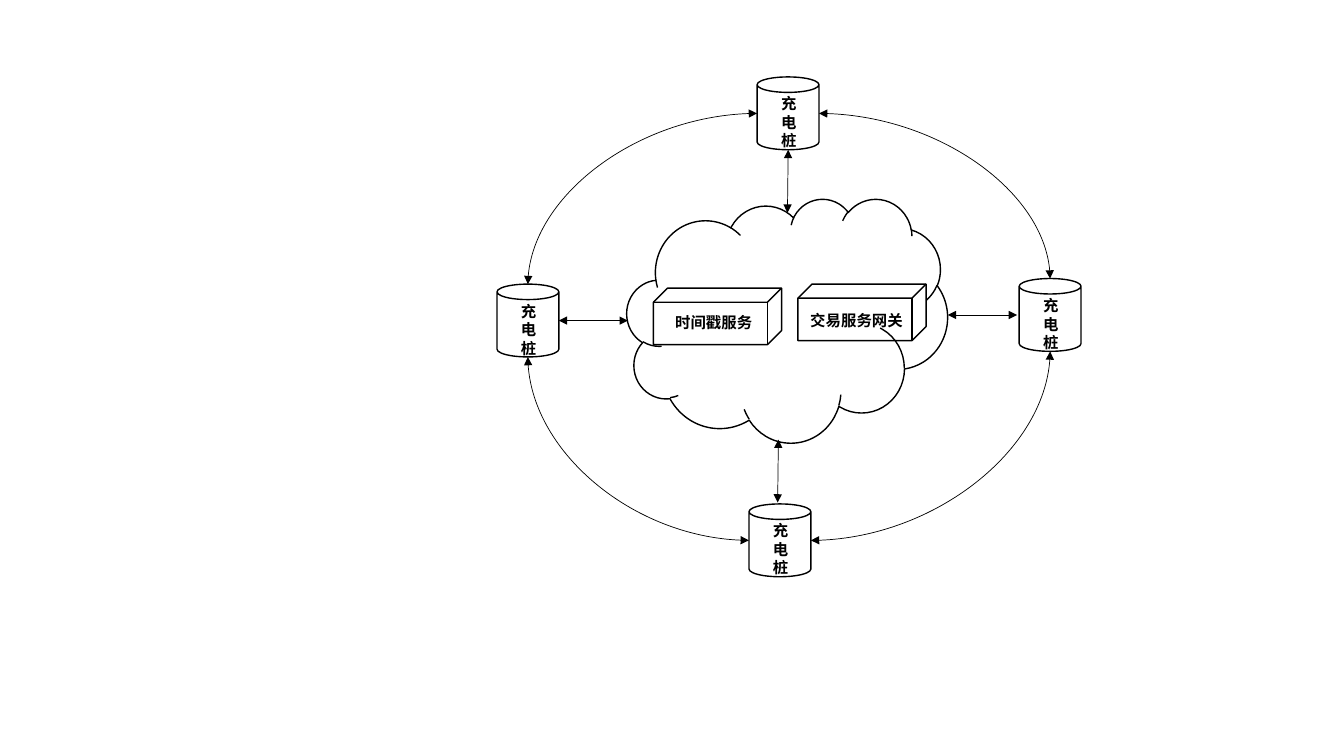
import pptx
import pptx.util
import pptx.dml.color
import pptx.enum.shapes
import pptx.oxml
import pptx.oxml.ns

Pt = pptx.util.Pt
qn = pptx.oxml.ns.qn
SHAPE = pptx.enum.shapes.MSO_SHAPE
LINK = pptx.enum.shapes.MSO_CONNECTOR

THEME = {
    "ink": pptx.dml.color.RGBColor(0, 0, 0),
    "font": "Calibri",
    "label_size": 11,
    "outline": 1,
    "arrow": 0.5,
}

# Content: positions and sizes in points
PILE_LABEL = ["充", "电", "桩"]
PILE_SIZE = (44.2, 52)
PILES = {
    "left": (355, 203),
    "top": (540.8, 55),
    "right": (728, 199),
    "bottom": (535, 360),
}
CLOUD = (447.8, 141.8, 229, 174.2)
SERVICE_SIZE = (91.6, 40.4)
SERVICES = [  # label, cube corner, label box
    ("时间戳服务", (466.7, 205.8), (475.2, 220.2, 69.8, 20.6)),
    ("交易服务网关", (569.9, 202.9), (571.7, 218.7, 81.4, 20.6)),
]
CLOUD_ARROWS = [
    ((563, 107), (562.5, 152)),
    ((556, 314), (555.5, 359)),
    ((399.2, 229), (448.5, 229)),
    ((677, 225), (726.5, 225)),
]
RING = [  # pile, side it leaves by, pile, side it enters by
    ("bottom", "right", "right", "bottom"),
    ("top", "right", "right", "top"),
    ("top", "left", "left", "top"),
    ("bottom", "left", "left", "bottom"),
]
# Side of a can: share of width, share of height, connection site
SIDES = {"top": (0.5, 0, 1), "left": (0, 0.5, 2),
         "bottom": (0.5, 1, 3), "right": (1, 0.5, 4)}

deck = pptx.Presentation()
deck.slide_width, deck.slide_height = Pt(960), Pt(540)
slide = deck.slides.add_slide(deck.slide_layouts[6])


def add_outline(kind, left, top, width, height):
    outline = slide.shapes.add_shape(kind, Pt(left), Pt(top), Pt(width), Pt(height))
    outline.shadow.inherit = False
    outline.fill.background()
    outline.line.color.rgb = THEME["ink"]
    outline.line.width = Pt(THEME["outline"])
    return outline


def add_label(lines, left, top, width, height):
    frame = slide.shapes.add_textbox(Pt(left), Pt(top), Pt(width), Pt(height)).text_frame
    frame.word_wrap = False
    frame.auto_size = pptx.enum.text.MSO_AUTO_SIZE.SHAPE_TO_FIT_TEXT
    for number, line in enumerate(lines):
        paragraph = frame.add_paragraph() if number else frame.paragraphs[0]
        run = paragraph.add_run()
        run.text = line
        run.font.name = THEME["font"]
        run.font.size = Pt(THEME["label_size"])
        run.font.bold = True
        run.font.color.rgb = THEME["ink"]


def add_arrow(kind, start, end):
    arrow = slide.shapes.add_connector(kind, *(Pt(v) for v in (*start, *end)))
    arrow.line.color.rgb = THEME["ink"]
    arrow.line.width = Pt(THEME["arrow"])
    properties = arrow._element.spPr
    line = properties.find(qn("a:ln"))
    for tip in ("a:headEnd", "a:tailEnd"):
        line.append(pptx.oxml.xmlchemy.OxmlElement(tip))
        line[-1].set("type", "triangle")
    properties.append(pptx.oxml.xmlchemy.OxmlElement("a:effectLst"))
    return arrow


def pile_side(pile, side):
    across, down, _ = SIDES[side]
    left, top = PILES[pile]
    return left + across * PILE_SIZE[0], top + down * PILE_SIZE[1]


# Charging piles
cans = {}
for pile, (left, top) in PILES.items():
    cans[pile] = add_outline(SHAPE.CAN, left, top, *PILE_SIZE)
    add_label(PILE_LABEL, left + 10, top + 9, 26, 47.5)

# Cloud and its services
add_outline(SHAPE.CLOUD, *CLOUD)
for service, corner, label_box in SERVICES:
    add_outline(SHAPE.CUBE, *corner, *SERVICE_SIZE)
    add_label([service], *label_box)

# Straight arrows between piles and cloud
for start, end in CLOUD_ARROWS:
    add_arrow(LINK.STRAIGHT, start, end)

# Quarter-round arrows from pile to pile, glued at both ends
for from_pile, from_side, to_pile, to_side in RING:
    arc = add_arrow(LINK.CURVE, pile_side(from_pile, from_side), pile_side(to_pile, to_side))
    arc._element.spPr.find(qn("a:prstGeom")).set("prst", "curvedConnector2")
    joints = arc._element.find(".//" + qn("p:cNvCxnSpPr"))
    for tag, pile, side in (("a:stCxn", from_pile, from_side), ("a:endCxn", to_pile, to_side)):
        joint = pptx.oxml.xmlchemy.OxmlElement(tag)
        joint.set("id", str(cans[pile].shape_id))
        joint.set("idx", str(SIDES[side][2]))
        joints.append(joint)

deck.save("out.pptx")
